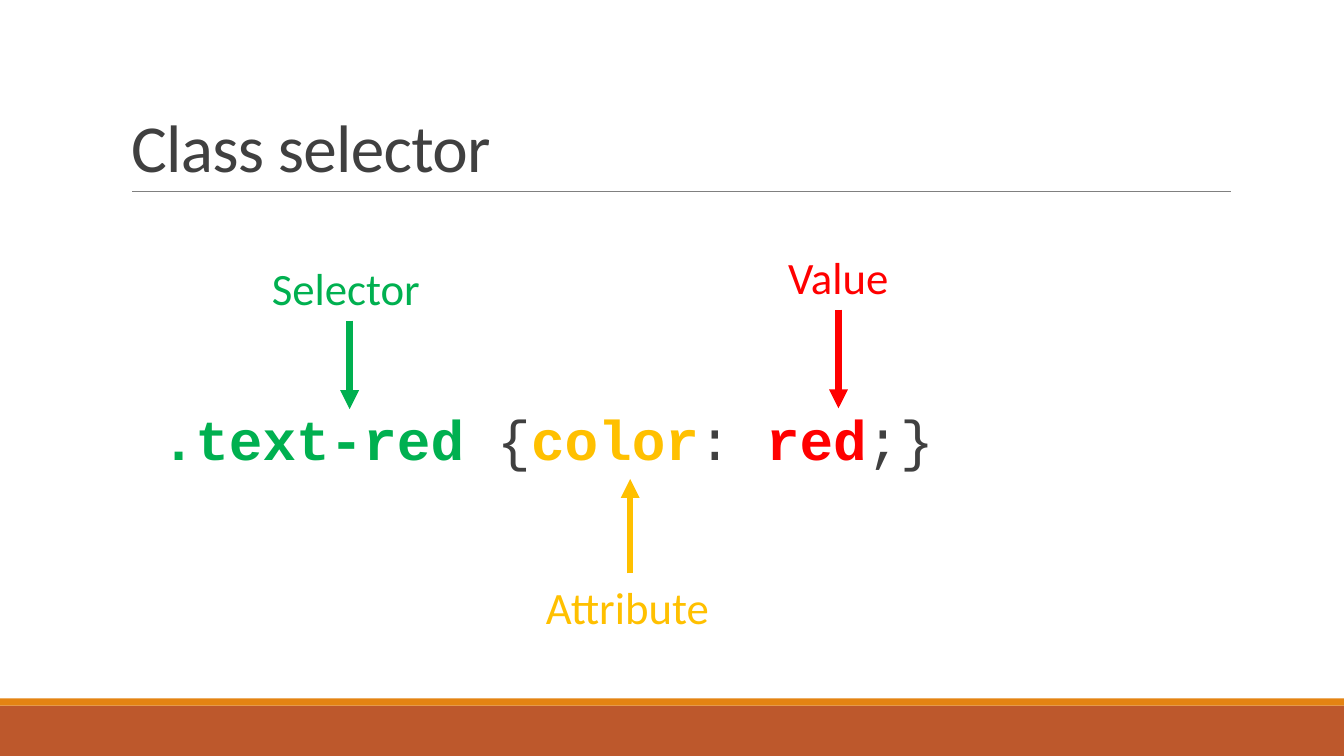
from lxml import etree
from pptx import Presentation
from pptx.dml.color import RGBColor
from pptx.enum.shapes import MSO_CONNECTOR, MSO_SHAPE
from pptx.enum.text import MSO_ANCHOR, MSO_AUTO_SIZE, PP_ALIGN
from pptx.oxml.ns import qn
from pptx.util import Cm, Pt

STRAIGHT = MSO_CONNECTOR.STRAIGHT
RECTANGLE = MSO_SHAPE.RECTANGLE
BOTTOM, MIDDLE = MSO_ANCHOR.BOTTOM, MSO_ANCHOR.MIDDLE
FIXED, GROW = MSO_AUTO_SIZE.NONE, MSO_AUTO_SIZE.SHAPE_TO_FIT_TEXT
LEFT = PP_ALIGN.LEFT

RUST = RGBColor(0xBD, 0x58, 0x2C)
ORANGE = RGBColor(0xE4, 0x83, 0x12)
GRAY = RGBColor(0x80, 0x80, 0x80)
DARK = RGBColor(0x40, 0x40, 0x40)
GREEN = RGBColor(0x00, 0xB0, 0x50)
YELLOW = RGBColor(0xFF, 0xC0, 0x00)
RED = RGBColor(0xFF, 0x00, 0x00)


def add_text(para, text, font="Calibri", size=32, color=DARK, bold=False, spacing=None):
    span = para.add_run()
    span.text = text
    span.font.name = font
    span.font.size = Pt(size)
    span.font.bold = bold
    span.font.color.rgb = color
    if spacing is not None:
        span._r.get_or_add_rPr().set("spc", str(spacing))


class SlideBuilder:
    text_font = "Calibri"
    code_font = "Courier New"

    def __init__(self, page):
        self.page = page

    def band(self, top, height, color):
        box = self.page.shapes.add_shape(RECTANGLE, 0, Cm(top), Cm(33.87), Cm(height))
        box.shadow.inherit = False
        box.fill.solid()
        box.fill.fore_color.rgb = color
        box.line.fill.background()

    def line(self, start, end, color, width, arrow=False):
        connector = self.page.shapes.add_connector(
            STRAIGHT, *(Cm(value) for value in start + end))
        connector.line.color.rgb = color
        connector.line.width = Pt(width)
        if arrow:
            outline = connector.line._get_or_add_ln()
            etree.SubElement(outline, qn("a:tailEnd"), type="triangle")
        etree.SubElement(connector._element.spPr, qn("a:effectLst"))

    def place(self, box, left, top, width, height, anchor):
        box.left, box.top, box.width, box.height = map(Cm, (left, top, width, height))
        frame = box.text_frame
        frame.auto_size = FIXED
        frame.word_wrap = True
        frame.vertical_anchor = anchor
        para = frame.paragraphs[0]
        para.alignment = LEFT
        para.space_before = Pt(0)
        return frame, para

    def title(self, text):
        frame, para = self.place(self.page.shapes.title, 3.05, 0.79, 27.94, 4.04, BOTTOM)
        para.line_spacing = 0.85
        add_text(para, text, font=self.text_font, size=48, spacing=-50)

    def code(self, parts):
        frame, para = self.place(
            self.page.placeholders[1], 3.76, 10.31, 27.23, 1.78, MIDDLE)
        frame.margin_left = frame.margin_right = 0
        para.line_spacing = 0.8
        para.space_after = Pt(2)
        properties = para._p.get_or_add_pPr()
        properties.set("marL", str(Cm(0.25)))
        properties.set("indent", str(Cm(-0.25)))
        bullet_color = etree.SubElement(properties, qn("a:buClr"))
        etree.SubElement(bullet_color, qn("a:srgbClr"), val=str(ORANGE))
        etree.SubElement(properties, qn("a:buFont"), typeface=self.text_font)
        etree.SubElement(properties, qn("a:buChar"), char=" ")
        for text, color in parts:
            add_text(para, text, font=self.code_font, size=40, color=color,
                     bold=color != DARK)

    def label(self, text, left, top, width, color):
        box = self.page.shapes.add_textbox(Cm(left), Cm(top), Cm(width), Cm(1.62))
        box.text_frame.word_wrap = False
        box.text_frame.auto_size = GROW
        add_text(box.text_frame.paragraphs[0], text, font=self.text_font, color=color)


def main():
    deck = Presentation()
    deck.slide_width, deck.slide_height = Cm(33.87), Cm(19.05)
    builder = SlideBuilder(deck.slides.add_slide(deck.slide_layouts[1]))

    builder.band(17.78, 1.27, RUST)
    builder.band(17.6, 0.18, ORANGE)
    builder.line((3.33, 4.83), (31.01, 4.83), GRAY, 0.5)
    builder.title("Class selector")
    builder.code([
        (".text-red ", GREEN), ("{", DARK), ("color", YELLOW),
        (": ", DARK), ("red", RED), (";}", DARK),
    ])

    callouts = [
        ("Selector", GREEN, 6.6, 6.45, 4.29, 8.81, 8.08, 10.31),
        ("Attribute", YELLOW, 13.51, 14.48, 4.7, 15.88, 14.45, 12.07),
        ("Value", RED, 19.61, 6.17, 3.07, 21.13, 7.8, 10.29),
    ]
    for text, color, left, top, width, center, start, end in callouts:
        builder.line((center, start), (center, end), color, 4.5, arrow=True)
        builder.label(text, left, top, width, color)

    deck.save("out.pptx")


if __name__ == "__main__":
    main()
